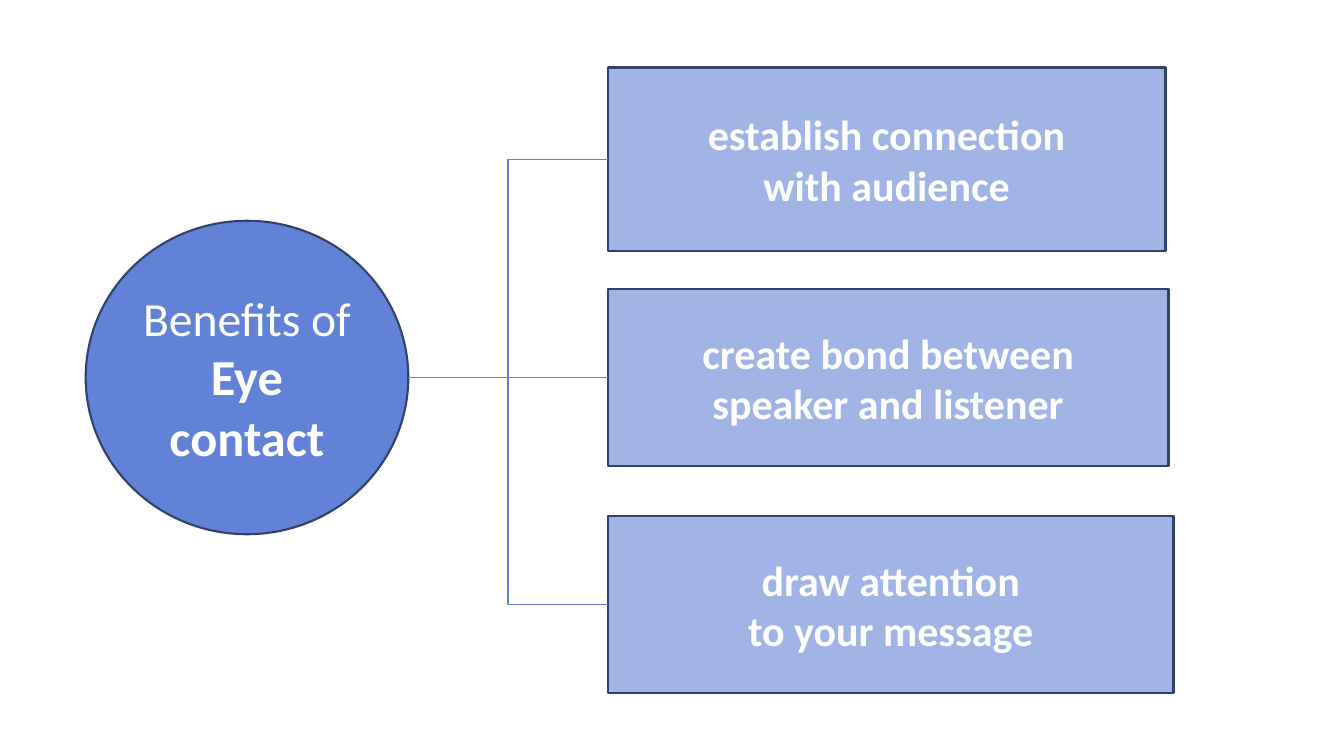
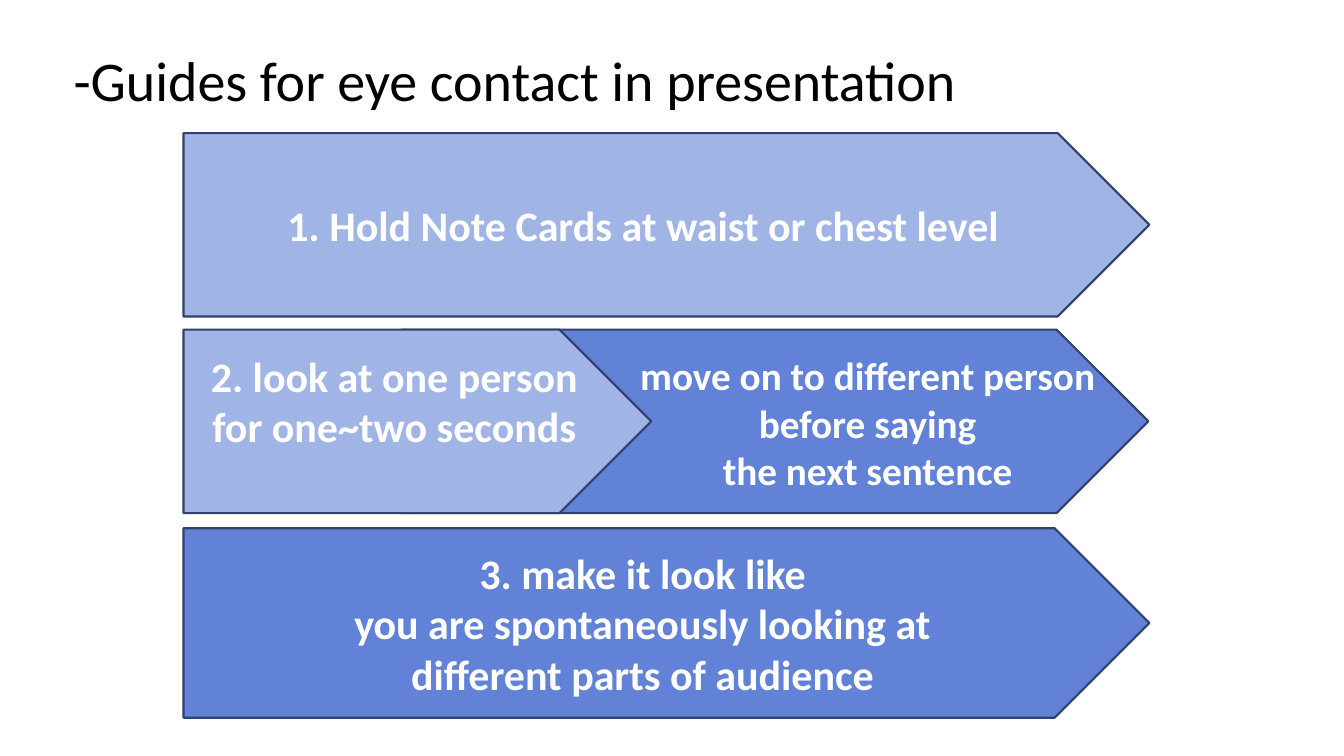
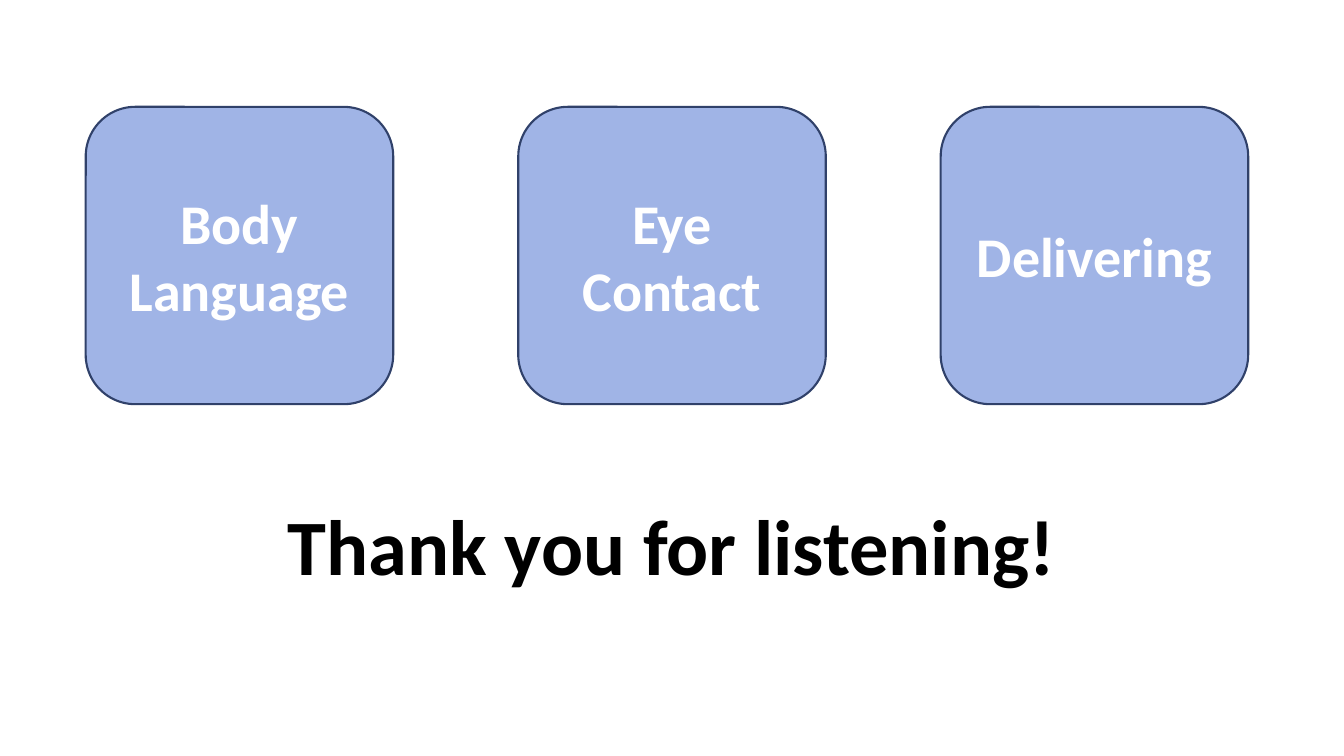
from lxml import etree
from pptx import Presentation
from pptx.dml.color import RGBColor
from pptx.enum.shapes import MSO_CONNECTOR, MSO_SHAPE
from pptx.enum.text import MSO_ANCHOR, MSO_AUTO_SIZE, PP_ALIGN
from pptx.oxml.ns import qn
from pptx.util import Inches, Pt

DEEP_BLUE = RGBColor(0x61, 0x82, 0xD6)
PALE_BLUE = RGBColor(0xA0, 0xB4, 0xE6)
OUTLINE = RGBColor(0x30, 0x41, 0x6A)
LINK_BLUE = RGBColor(0x5E, 0x81, 0xD9)
WHITE = RGBColor(0xFF, 0xFF, 0xFF)
BLACK = RGBColor(0x00, 0x00, 0x00)

ELLIPSE = MSO_SHAPE.OVAL
RECTANGLE = MSO_SHAPE.RECTANGLE
ROUNDED = MSO_SHAPE.ROUNDED_RECTANGLE
ARROW = MSO_SHAPE.PENTAGON
ELBOW = MSO_CONNECTOR.ELBOW
TOP, MIDDLE = MSO_ANCHOR.TOP, MSO_ANCHOR.MIDDLE
LEFT, CENTER = PP_ALIGN.LEFT, PP_ALIGN.CENTER
NO_AUTOFIT = MSO_AUTO_SIZE.NONE

TITLE_ONLY, BLANK = 5, 6
FONT = "Calibri"


class Deck:
    """Hold the presentation style and the slide being built."""

    def __init__(self):
        self.presentation = Presentation()
        self.presentation.slide_width = Inches(13.33)
        self.presentation.slide_height = Inches(7.5)
        self.slide = None

    def new_slide(self, layout):
        layouts = self.presentation.slide_layouts
        self.slide = self.presentation.slides.add_slide(layouts[layout])

    def apply(self, target, formats):
        for name, value in formats.items():
            setattr(target, name, value)

    def fill_text(self, frame, lines, color, align, anchor):
        """Fill a frame with (text, size, bold) lines."""
        self.apply(frame, {"word_wrap": True, "auto_size": NO_AUTOFIT,
                           "vertical_anchor": anchor})
        for index, (text, size, bold) in enumerate(lines):
            paragraph = frame.add_paragraph() if index else frame.paragraphs[0]
            paragraph.alignment = align
            run = paragraph.add_run()
            run.text = text
            self.apply(run.font, {"name": FONT, "size": Pt(size), "bold": bold})
            run.font.color.rgb = color

    def title(self, box, text, size, bold=False, align=LEFT):
        title = self.slide.shapes.title
        self.apply(title, dict(zip(("left", "top", "width", "height"),
                                   map(Inches, box))))
        self.fill_text(title.text_frame, [(text, size, bold)], BLACK, align, TOP)

    def shape(self, kind, box, fill, lines=()):
        shape = self.slide.shapes.add_shape(kind, *map(Inches, box))
        shape.shadow.inherit = False
        shape.fill.solid()
        shape.fill.fore_color.rgb = fill
        shape.line.color.rgb = OUTLINE
        shape.line.width = Pt(1.5)
        if lines:
            self.fill_text(shape.text_frame, lines, WHITE, CENTER, MIDDLE)
        return shape

    def label(self, box, lines):
        label = self.slide.shapes.add_textbox(*map(Inches, box))
        self.fill_text(label.text_frame, lines, WHITE, CENTER, TOP)

    def link(self, start, end):
        """Join the right side of one shape to the left side of another."""
        connector = self.slide.shapes.add_connector(
            ELBOW, start.left + start.width, start.top + start.height // 2,
            end.left, end.top + end.height // 2)
        connector.line.color.rgb = LINK_BLUE
        connector.line.width = Pt(1)
        etree.SubElement(connector._element.spPr, qn("a:effectLst"))


def bold_lines(size, *texts):
    return [(text, size, True) for text in texts]


def build_benefits(deck):
    deck.new_slide(BLANK)
    topic = deck.shape(ELLIPSE, (0.85, 2.19, 3.2, 3.11), DEEP_BLUE,
                       [("Benefits of", 34, False), ("Eye contact", 36, True)])
    benefits = [
        (0.67, 5.53, 1.82, ("establish connection", "with audience")),
        (2.87, 5.56, 1.75, ("create bond between", "speaker and listener")),
        (5.12, 5.61, 1.76, ("draw attention", "to your message")),
    ]
    for top, width, height, texts in benefits:
        benefit = deck.shape(RECTANGLE, (6.03, top, width, height), PALE_BLUE,
                             bold_lines(30, *texts))
        deck.link(topic, benefit)


def build_guides(deck):
    deck.new_slide(TITLE_ONLY)
    deck.title((0.63, 0.4, 10.11, 0.77),
               "-Guides for eye contact in presentation", 40)
    left, width = 1.82, 9.58
    deck.shape(ARROW, (left, 1.32, width, 1.82), PALE_BLUE,
               bold_lines(30, "1. Hold Note Cards at waist or chest level"))
    deck.shape(ARROW, (3.98, 3.27, 7.41, 1.82), DEEP_BLUE)
    look = deck.shape(ARROW, (left, 3.27, 4.64, 1.82), PALE_BLUE,
                      bold_lines(30, "2. look at one person",
                                 "for one~two seconds"))
    look.text_frame.margin_bottom = Inches(0.46)
    deck.label((5.12, 3.44, 6.97, 1.49),
               bold_lines(28, "move on to different person",
                          "before saying", "the next sentence"))
    deck.shape(ARROW, (left, 5.24, width, 1.88), DEEP_BLUE,
               bold_lines(30, "3. make it look like",
                          "you are spontaneously looking at",
                          "different parts of audience"))


def build_closing(deck):
    deck.new_slide(TITLE_ONLY)
    topics = [(0.85, ("Body", "Language")), (5.14, ("Eye", "Contact")),
              (9.33, ("Delivering",))]
    for left, texts in topics:
        deck.shape(ROUNDED, (left, 1.06, 3.05, 2.95), PALE_BLUE,
                   bold_lines(40, *texts))
    deck.title((1.61, 4.88, 10.11, 1.03), "Thank you for listening!", 56,
               bold=True, align=CENTER)


def main():
    deck = Deck()
    build_benefits(deck)
    build_guides(deck)
    build_closing(deck)
    deck.presentation.save("out.pptx")


if __name__ == "__main__":
    main()
